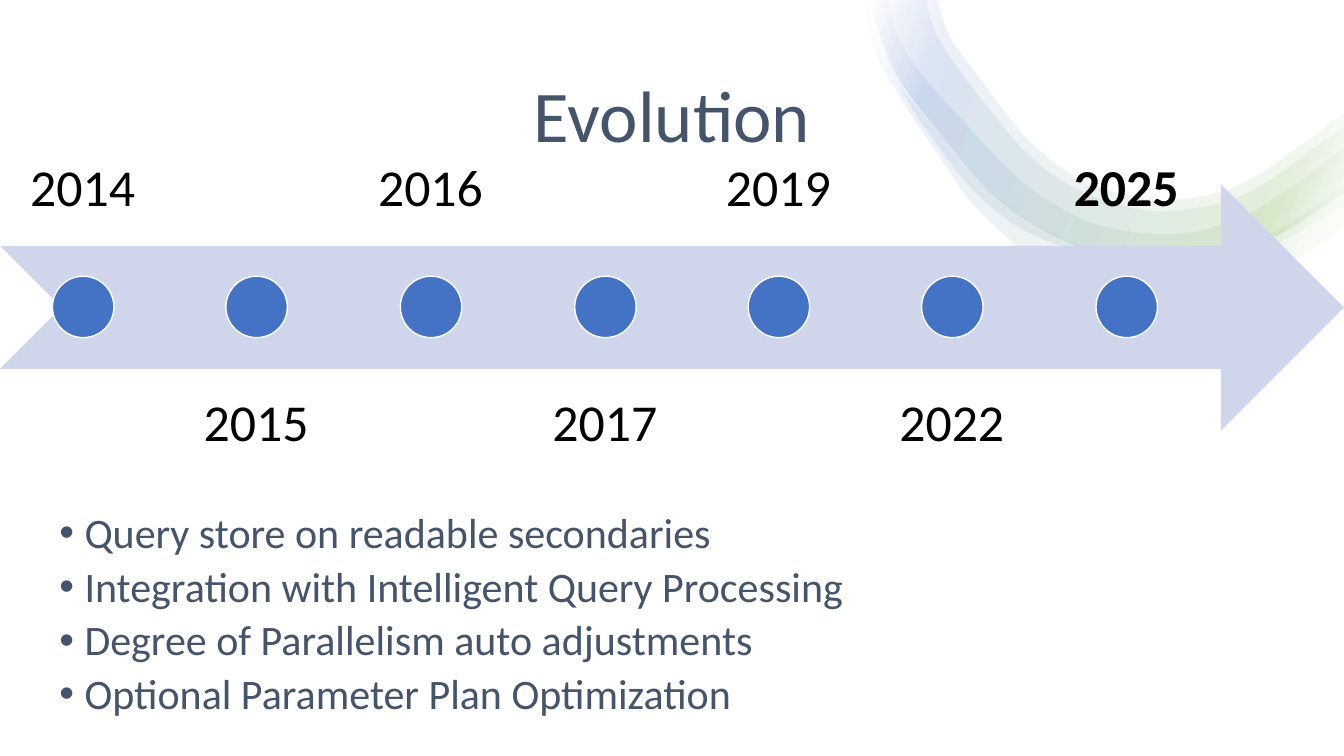
from pptx import Presentation
from pptx.dml.color import RGBColor as RGB
from pptx.enum.shapes import MSO_SHAPE as Shape
from pptx.enum.text import MSO_ANCHOR as Anchor, PP_ALIGN as Align
from pptx.oxml import parse_xml
from pptx.oxml.ns import nsdecls, qn
from pptx.util import Pt

PX = 9144  # 100 px to the inch
COLORS = {"white": "FFFFFF", "green": "70AD47", "blue": "4472C4",
          "arrow": "CFD5EA", "slate": "44546A", "black": "000000"}
FADE = [(2, "white"), (16, "green"), (85, "blue"), (100, "white")]


def add_shape(kind, box, color):
    shape = slide.shapes.add_shape(kind, *[v * PX for v in box])
    shape.shadow.inherit = False
    shape.fill.solid()
    shape.fill.fore_color.rgb = RGB.from_string(COLORS[color])
    shape.line.fill.background()
    return shape


def add_text(box, lines, size, color, align=Align.LEFT, anchor=Anchor.TOP,
             inset=None, bold=None, bullet=False):
    shape = slide.shapes.add_textbox(*[v * PX for v in box])
    frame = shape.text_frame
    frame.word_wrap = True
    frame.vertical_anchor = anchor
    if inset:
        frame.margin_left = frame.margin_right = inset * PX
        frame.margin_top = frame.margin_bottom = inset * PX
    frame.text = "\n".join(lines)
    for para in frame.paragraphs:
        para.alignment = align
        para.line_spacing = 0.9
        para.space_after = Pt(6)
        if bullet:
            props = para._p.get_or_add_pPr()
            props.set("marL", str(50 * PX))
            props.set("indent", str(-25 * PX))
            props.append(parse_xml(f'<a:buFont {nsdecls("a")} typeface="Arial"/>'))
            props.append(parse_xml(f'<a:buChar {nsdecls("a")} char="•"/>'))
        font = para.font
        font.name = "Calibri"
        font.size = Pt(size)
        font.bold = bold
        font.color.rgb = RGB.from_string(COLORS[color])


prs = Presentation()
prs.slide_width, prs.slide_height = 1333 * PX, 750 * PX
slide = prs.slides.add_slide(prs.slide_layouts[6])
add_shape(Shape.RECTANGLE, (0, 0, 1333, 750), "white")

# Ribbon: each band has an inner and an outer edge
outer = [(1333, 190), (1319, 200), (1248, 242), (1164, 260), (1091, 251),
         (1030, 226), (978, 187), (934, 135), (889, 75), (865, 8), (865, 0)]
bands = [
    ([(864, 0), (866, 27), (875, 54), (889, 79), (906, 102), (934, 135),
      (961, 169), (981, 189), (1025, 222), (1076, 245), (1130, 255),
      (1186, 255), (1239, 241), (1288, 215), (1333, 183)],
     [(1333, 223), (1308, 242), (1253, 272), (1191, 288), (1143, 288),
      (1096, 282), (1036, 260), (1009, 244), (965, 202), (931, 154),
      (899, 106), (884, 82), (871, 56), (863, 28), (860, 0)]),
    ([(883, 0), (885, 20), (894, 43), (908, 65), (942, 106), (996, 164),
      (1035, 196), (1080, 220), (1131, 231), (1183, 230), (1231, 215),
      (1275, 189), (1333, 146)],
     [(1333, 201), (1300, 223), (1247, 250), (1187, 264), (1127, 262),
      (1069, 250), (1013, 227), (966, 190), (931, 146), (901, 101),
      (880, 64), (870, 38), (865, 9), (865, 0)]),
    ([(920, 0), (920, 8), (932, 41), (959, 80), (979, 106), (1018, 152),
      (1061, 184), (1109, 203), (1164, 209), (1235, 192), (1305, 145),
      (1333, 125)], outer),
    ([(931, 0), (931, 6), (942, 37), (968, 73), (988, 100), (1025, 144),
      (1064, 174), (1110, 192), (1164, 198), (1229, 183), (1299, 137),
      (1333, 112)], outer),
]
stops = "".join(
    f'<a:gs pos="{pos * 1000}"><a:srgbClr val="{COLORS[name]}">'
    f'<a:alpha val="10000"/></a:srgbClr></a:gs>' for pos, name in FADE)
for inner, rim in bands:
    pen = slide.shapes.build_freeform(*inner[0], scale=PX)
    pen.add_line_segments(inner[1:] + rim)
    band = pen.convert_to_shape()
    band.shadow.inherit = False
    band.line.fill.background()
    band.fill.gradient()
    props = band._element.spPr
    props.replace(props.find(qn("a:gradFill")), parse_xml(
        f'<a:gradFill {nsdecls("a")}><a:gsLst>{stops}</a:gsLst>'
        f'<a:lin ang="{200 * 60000}" scaled="0"/></a:gradFill>'))

    # Bend the straight segments of both edges into Bézier curves
    steps = list(props.iter(qn("a:moveTo"), qn("a:lnTo")))
    spots = [(int(p.get("x")), int(p.get("y"))) for p in props.iter(qn("a:pt"))]
    size = len(inner)
    for first, last in [(0, size), (size, size + len(rim))]:
        edge = spots[first:last]
        ends = [edge[0], *edge, edge[-1]]
        quads = zip(ends, ends[1:], ends[2:], ends[3:])
        for step, (a, b, c, d) in zip(steps[first + 1:last], quads):
            grip = [q + (r - p) / 6 for p, q, r in zip(a, b, c)]
            pull = [r - (s - q) / 6 for q, r, s in zip(b, c, d)]
            knots = "".join(f'<a:pt x="{round(x)}" y="{round(y)}"/>'
                            for x, y in (grip, pull, c))
            step.getparent().replace(step, parse_xml(
                f'<a:cubicBezTo {nsdecls("a")}>{knots}</a:cubicBezTo>'))

add_text((129, 52, 1075, 110), ["Evolution"], 52, "slate",
         Align.CENTER, Anchor.BOTTOM)

# Timeline
add_shape(Shape.NOTCHED_RIGHT_ARROW, (0, 183, 1333, 244), "arrow")
years = ["2014", "2015", "2016", "2017", "2019", "2022", "2025"]
for i, year in enumerate(years):
    left = round(172.5 * i)
    top, anchor = (366, Anchor.TOP) if i % 2 else (0, Anchor.BOTTOM)
    add_text((left, top, 164, 244), [year], 37, "black", Align.CENTER,
             anchor, inset=29, bold=year == years[-1])
    dot = add_shape(Shape.OVAL, (left + 52, 274, 61, 61), "blue")
    dot.line.color.rgb = RGB.from_string(COLORS["white"])
    dot.line.width = Pt(1)

add_text((24, 503, 996, 235), [
    "Query store on readable secondaries",
    "Integration with Intelligent Query Processing",
    "Degree of Parallelism auto adjustments",
    "Optional Parameter Plan Optimization",
], 30, "slate", bullet=True)

prs.save("out.pptx")
